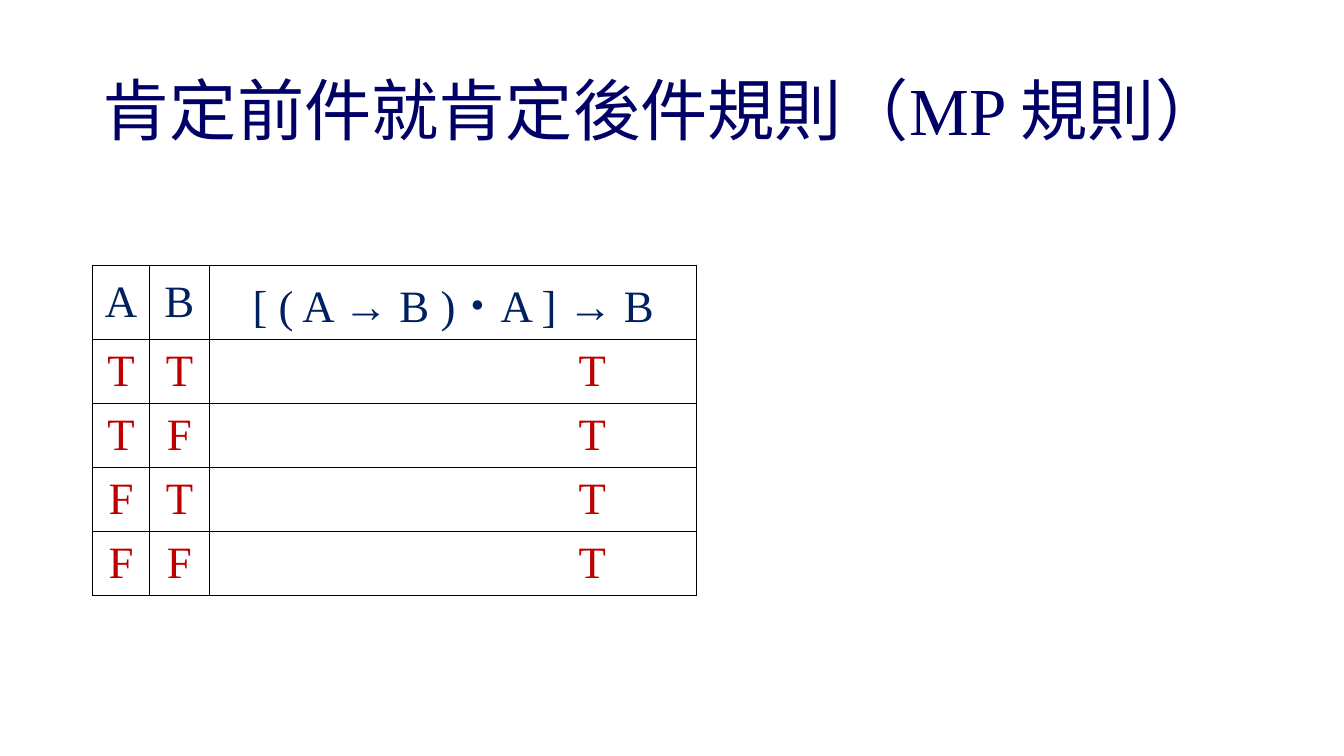
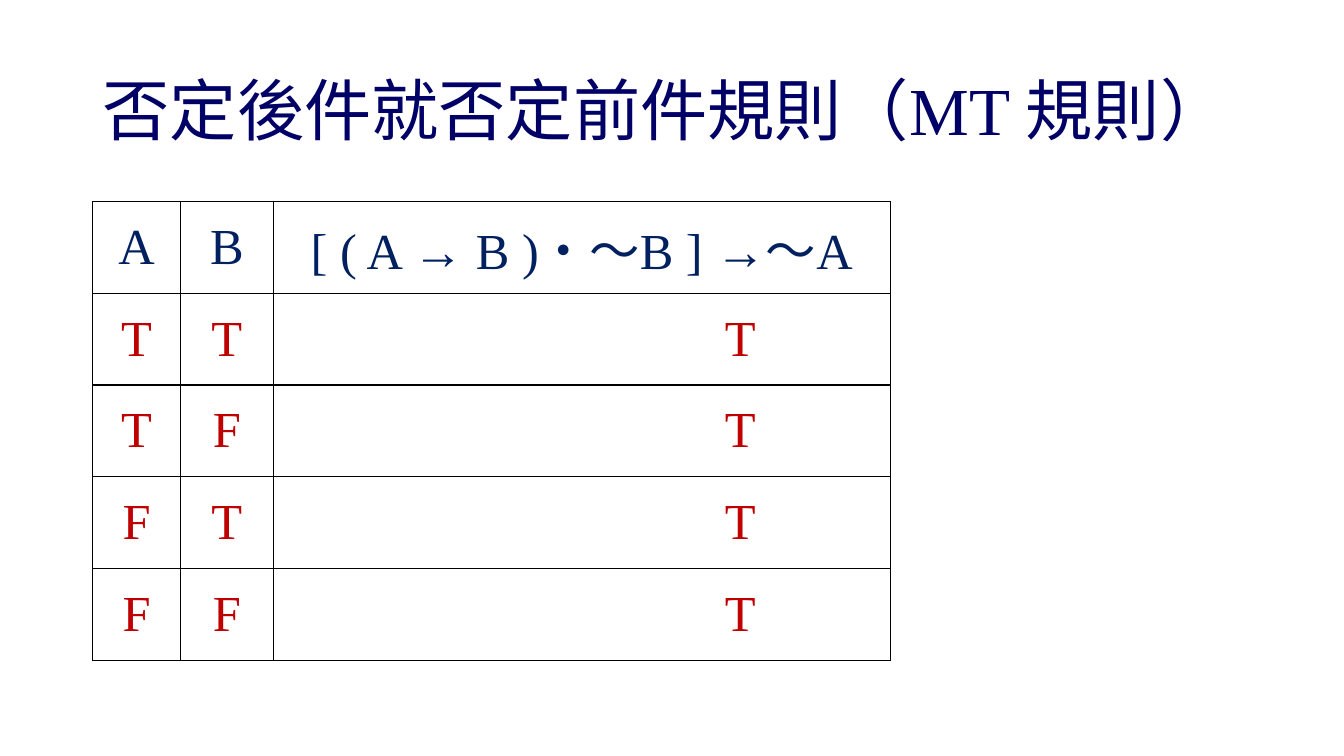
from lxml.etree import SubElement
from pptx import Presentation
from pptx.dml.color import RGBColor
from pptx.enum.text import MSO_ANCHOR, PP_ALIGN
from pptx.oxml.ns import qn
from pptx.util import Inches, Pt

TITLE_BLUE = RGBColor(0x00, 0x00, 0x66)
HEADER_BLUE = RGBColor(0x00, 0x20, 0x60)
VALUE_RED = RGBColor(0xC0, 0x00, 0x00)
BORDER_BLACK = RGBColor(0x00, 0x00, 0x00)
FONT = "Times New Roman"
LEFT = 0.92
TRUTH_ROWS = [("T", "T", "T"), ("T", "F", "T"), ("F", "T", "T"), ("F", "F", "T")]


def style_paragraph(paragraph, size, color):
    """Set the font of a whole paragraph."""
    paragraph.font.name = FONT
    paragraph.font.size = Pt(size)
    paragraph.font.color.rgb = color


def add_title(page, text):
    """Add the slide title."""
    box = page.shapes.add_textbox(Inches(LEFT), Inches(0.4), Inches(11.5), Inches(1.45))
    frame = box.text_frame
    frame.word_wrap = True
    frame.vertical_anchor = MSO_ANCHOR.MIDDLE
    paragraph = frame.paragraphs[0]
    paragraph.text = text
    paragraph.line_spacing = 0.9
    style_paragraph(paragraph, 48, TITLE_BLUE)


def add_borders(cell):
    """Draw a one-point line on each side of a cell."""
    properties = cell._tc.get_or_add_tcPr()
    for side in ("a:lnL", "a:lnR", "a:lnT", "a:lnB"):
        line = SubElement(properties, qn(side), w=str(Pt(1)))
        fill = SubElement(line, qn("a:solidFill"))
        SubElement(fill, qn("a:srgbClr"), val=str(BORDER_BLACK))


def fill_cell(cell, text, size, color):
    """Write centred text into a bordered cell without fill."""
    add_borders(cell)
    cell.fill.background()
    cell.vertical_anchor = MSO_ANCHOR.MIDDLE
    paragraph = cell.text_frame.paragraphs[0]
    paragraph.text = text
    paragraph.alignment = PP_ALIGN.CENTER
    style_paragraph(paragraph, size, color)


def add_truth_table(page, formula, top, widths, heights, size, result_indent):
    """Add a truth table whose results stand under the main arrow."""
    rows = [("A", "B", formula)] + TRUTH_ROWS
    frame = page.shapes.add_table(
        len(rows), len(widths), Inches(LEFT), Inches(top),
        Inches(sum(widths)), Inches(sum(heights)))
    table = frame.table
    table.first_row = False
    table.horz_banding = False
    for column, width in zip(table.columns, widths):
        column.width = Inches(width)
    for row, height in zip(table.rows, heights):
        row.height = Inches(height)
    for row_index, values in enumerate(rows):
        color = VALUE_RED if row_index else HEADER_BLUE
        for column_index, value in enumerate(values):
            fill_cell(table.cell(row_index, column_index), value, size, color)
    for row_index in range(1, len(rows)):
        result = table.cell(row_index, len(widths) - 1)
        result.margin_left = Inches(result_indent)
        result.text_frame.paragraphs[0].alignment = PP_ALIGN.LEFT


def add_rule_page(deck, title, **table_options):
    """Add a slide with a title and a truth table."""
    page = deck.slides.add_slide(deck.slide_layouts[6])
    add_title(page, title)
    add_truth_table(page, **table_options)


def main():
    """Build the deck of inference rules."""
    deck = Presentation()
    deck.slide_width = Inches(13.33)
    deck.slide_height = Inches(7.5)
    add_rule_page(
        deck, "肯定前件就肯定後件規則（MP 規則）",
        formula="[ ( A → B )・A ] → B", top=2.63, widths=[0.56, 0.6, 4.83],
        heights=[0.74] + [0.59] * 4, size=32, result_indent=3.66)
    add_rule_page(
        deck, "否定後件就否定前件規則（MT 規則）",
        formula="[ ( A → B )・～B ] →～A", top=2, widths=[0.87, 0.92, 6.12],
        heights=[0.91] * 5, size=36, result_indent=4.48)
    deck.save("out.pptx")


if __name__ == "__main__":
    main()
